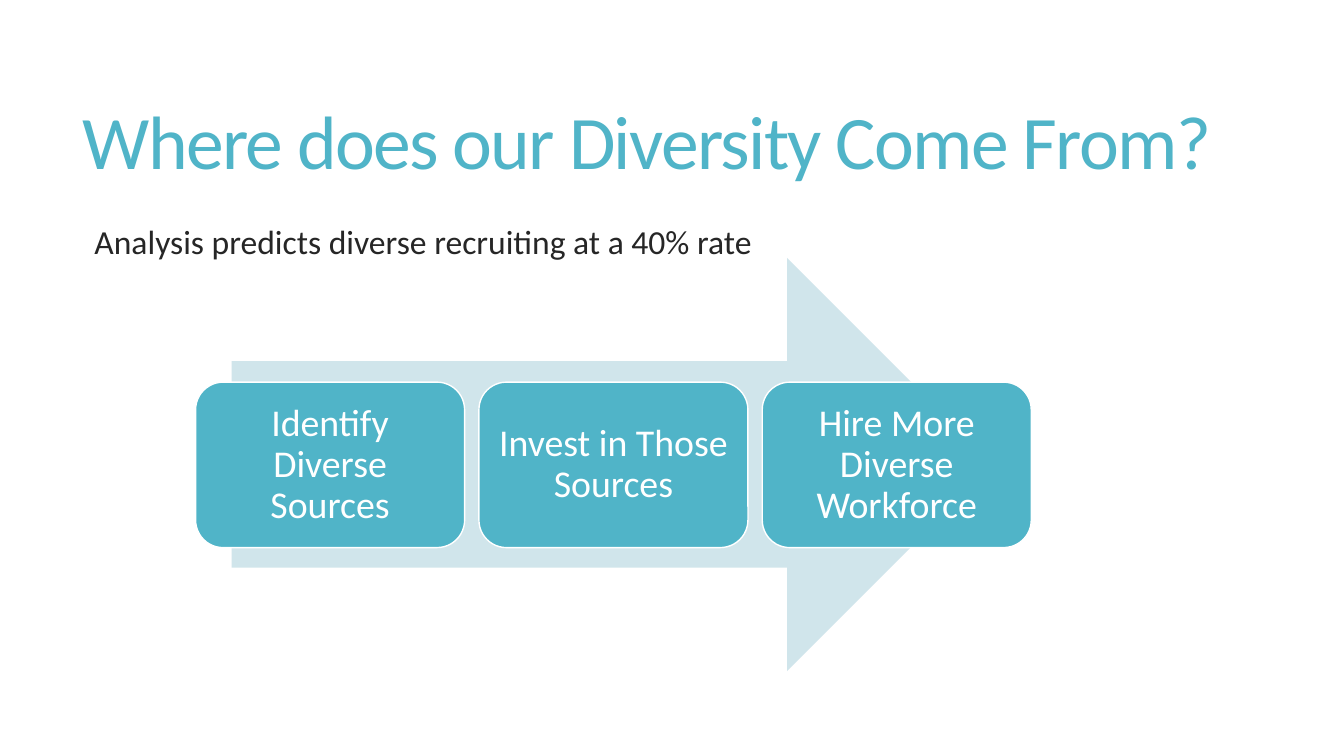
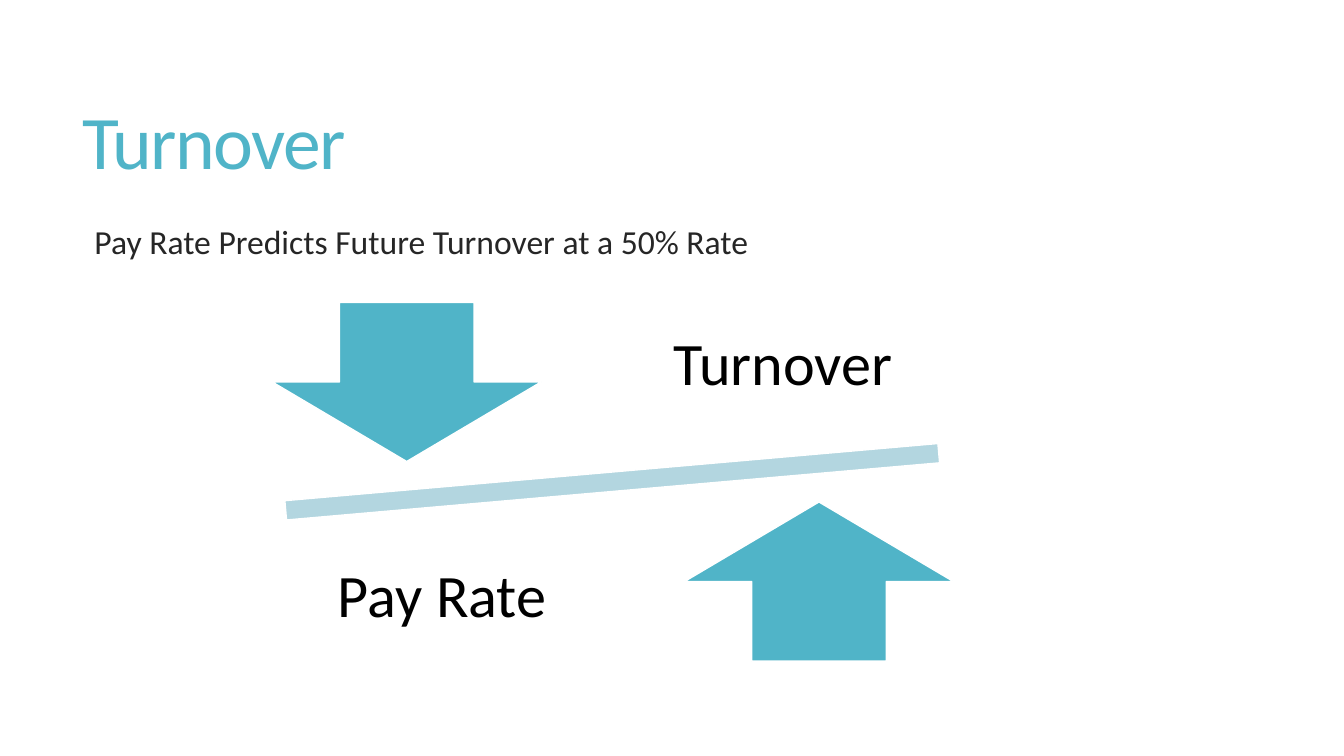
from pptx import Presentation
from pptx.dml.color import RGBColor
from pptx.enum import shapes, text
from pptx.util import Cm, Pt

TEAL = RGBColor(0x50, 0xB4, 0xC8)
MIST = RGBColor(0xB3, 0xD6, 0xE0)
PALE = RGBColor(0xD0, 0xE5, 0xEB)
INK = RGBColor(0x26, 0x26, 0x26)
BLACK = RGBColor(0, 0, 0)
WHITE = RGBColor(255, 255, 255)
FONT = "Calibri"
KIND = shapes.MSO_SHAPE
MIDDLE = text.MSO_ANCHOR.MIDDLE
CENTER = text.PP_ALIGN.CENTER

# Titles and leads, then the parts of each diagram (lengths in cm)
HIRING = ("Where does our Diversity Come From?",
          "Analysis predicts diverse recruiting at a 40% rate")
STEPS = ["Identify Diverse Sources", "Invest in Those Sources",
         "Hire More Diverse Workforce"]
STEP_X, STEP_Y, STEP_W, STEP_H, PITCH = 4.93, 9.63, 6.78, 4.17, 7.14

LEAVING = ("Turnover", "Pay Rate Predicts Future Turnover at a 50% Rate")
ARROWS = [(KIND.DOWN_ARROW, 6.86, 7.62), (KIND.UP_ARROW, 17.25, 12.65)]
ARROW_W, ARROW_H = 6.78, 4.01
LABELS = [("Turnover", 16.13, 7.11), ("Pay Rate", 7.54, 12.95)]
LABEL_W, LABEL_H = 7.21, 4.22


def write(shape, words, size, color, pad=None, align=None, spacing=0.9):
    """Put one paragraph into a shape and return the paragraph."""
    frame = shape.text_frame
    frame.word_wrap = True
    if pad is not None:
        frame.margin_left = frame.margin_right = Cm(pad)
        frame.margin_top = frame.margin_bottom = Cm(pad)
    para = frame.paragraphs[0]
    para.text = words
    para.alignment = align
    para.line_spacing = spacing
    font = para.font
    font.name, font.size, font.color.rgb = FONT, Pt(size), color
    return para


def add_box(slide, *place):
    """Add a text box placed in cm."""
    return slide.shapes.add_textbox(*map(Cm, place))


def add_form(slide, kind, place, fill, edge=True):
    """Add a flat filled shape, with a thin white edge if wanted."""
    form = slide.shapes.add_shape(kind, *map(Cm, place))
    form.shadow.inherit = False
    form.fill.solid()
    form.fill.fore_color.rgb = fill
    if edge:
        form.line.color.rgb = WHITE
        form.line.width = Pt(1)
    else:
        form.line.fill.background()
    return form


def add_page(deck, title, lead):
    """Add a blank slide with the shared title and lead sentence."""
    slide = deck.slides.add_slide(deck.slide_layouts[6])
    head = add_box(slide, 1.83, 1.4, 29.92, 4.6)
    head.text_frame.vertical_anchor = MIDDLE
    para = write(head, title, 54, TEAL, spacing=0.85)
    para.runs[0].font._element.set("spc", "-120")

    body = add_box(slide, 1.88, 5.59, 29.87, 10.46)
    body.text_frame.margin_left = Cm(0.5)
    write(body, lead, 24, INK, spacing=0.85).space_before = Pt(13)
    return slide


def draw_hiring(deck):
    """Draw the three steps along a broad arrow."""
    slide = add_page(deck, *HIRING)
    add_form(slide, KIND.RIGHT_ARROW, (5.84, 6.5, 19.2, 10.41), PALE, False)
    for i, step in enumerate(STEPS):
        place = (STEP_X + i * PITCH, STEP_Y, STEP_W, STEP_H)
        card = add_form(slide, KIND.ROUNDED_RECTANGLE, place, TEAL)
        card.text_frame.vertical_anchor = MIDDLE
        write(card, step, 27, WHITE, 0.28, CENTER)


def draw_leaving(deck):
    """Draw the tilted beam with its two opposing arrows."""
    slide = add_page(deck, *LEAVING)
    beam = add_form(slide, KIND.MATH_MINUS, (4.19, 11.1, 22.48, 2.08), MIST)
    beam.rotation = 355
    for kind, left, top in ARROWS:
        add_form(slide, kind, (left, top, ARROW_W, ARROW_H), TEAL)
    for words, left, top in LABELS:
        label = add_box(slide, left, top, LABEL_W, LABEL_H)
        label.text_frame.vertical_anchor = MIDDLE
        write(label, words, 43, BLACK, 0.84, CENTER)


deck = Presentation()
deck.slide_width, deck.slide_height = Cm(33.87), Cm(19.05)
draw_hiring(deck)
draw_leaving(deck)
deck.save("out.pptx")
